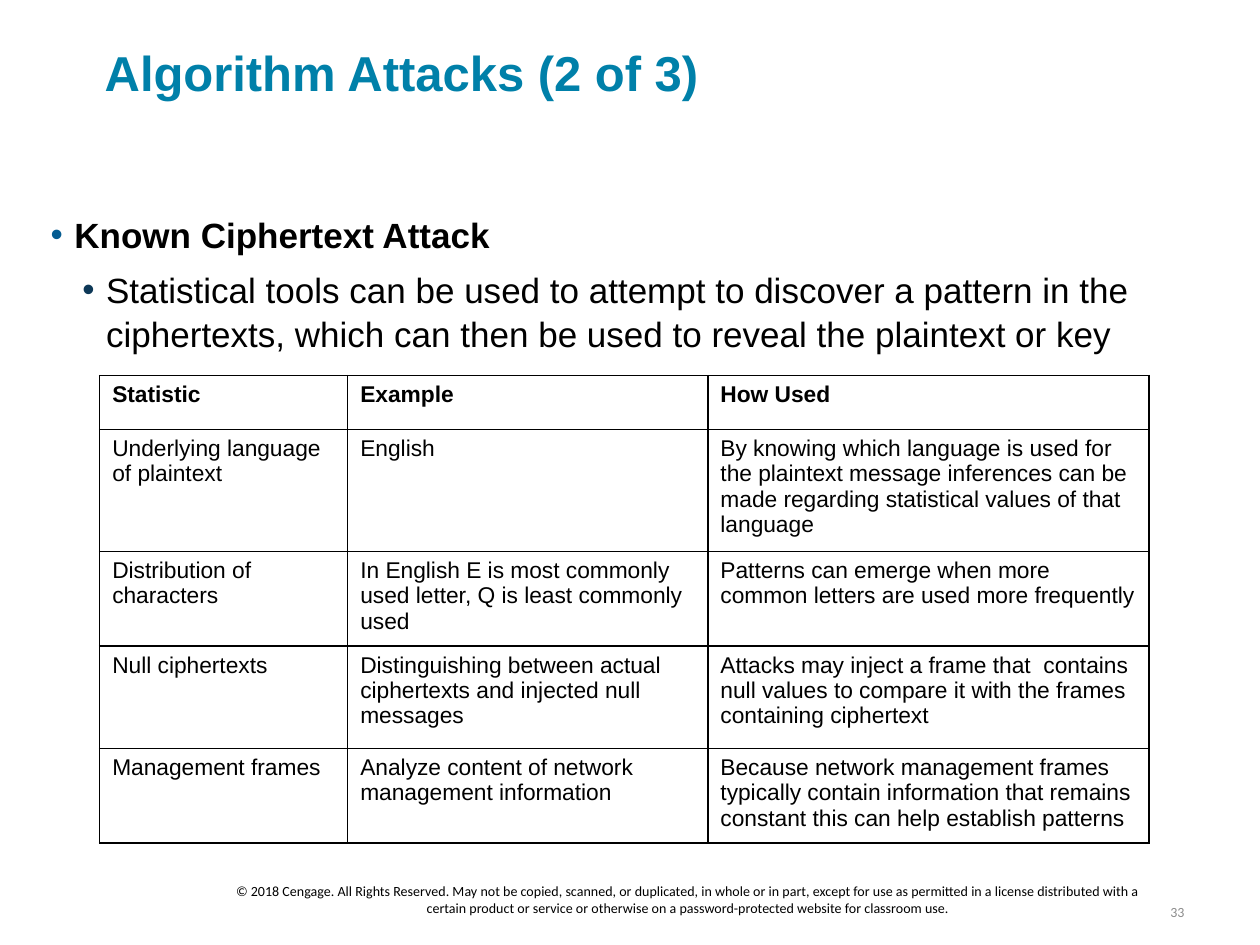
"""Build the slide on known ciphertext attacks and the statistics they use."""
from dataclasses import dataclass

from lxml.etree import SubElement
from pptx import Presentation
from pptx.dml.color import RGBColor
from pptx.enum.text import MSO_ANCHOR as Anchor, PP_ALIGN as Align
from pptx.oxml.ns import qn
from pptx.util import Cm, Pt

COLORS = {
    "title": "0080A9",
    "text": "000000",
    "number": "8C8C8C",
    "bullet": "055C91",
    "sub_bullet": "0D3857",
    "cell": "FFFFFF",
    "border": "000000",
}
COLUMN_WIDTHS = (5.0, 7.26, 8.89)
ROW_HEIGHTS = (1.09, 2.3, 1.79, 2.06, 1.79)
STATISTICS = (
    ("Statistic", "Example", "How Used"),
    ("Underlying language of plaintext", "English",
     "By knowing which language is used for the plaintext message inferences "
     "can be made regarding statistical values of that language"),
    ("Distribution of characters",
     "In English E is most commonly used letter, Q is least commonly used",
     "Patterns can emerge when more common letters are used more frequently"),
    ("Null ciphertexts",
     "Distinguishing between actual ciphertexts and injected null messages",
     "Attacks may inject a frame that  contains null values to compare it "
     "with the frames containing ciphertext"),
    ("Management frames", "Analyze content of network management information",
     "Because network management frames typically contain information that "
     "remains constant this can help establish patterns"),
)


@dataclass(frozen=True)
class Box:
    left: float
    top: float
    width: float
    height: float

    def lengths(self) -> tuple:
        return Cm(self.left), Cm(self.top), Cm(self.width), Cm(self.height)


@dataclass(frozen=True)
class Point:
    text: str
    level: int
    indent: float
    space_before: float
    bullet: str
    bold: bool


@dataclass(frozen=True)
class Note:
    text: str
    box: Box
    color: str
    align: Align
    wrap: bool


POINTS = (
    Point("Known Ciphertext Attack", 0, 0.48, 0, "bullet", True),
    Point("Statistical tools can be used to attempt to discover a pattern in the "
          "ciphertexts, which can then be used to reveal the plaintext or key",
          1, 1.12, 6, "sub_bullet", False),
)
NOTES = (
    Note("© 2018 Cengage. All Rights Reserved. May not be copied, scanned, or "
         "duplicated, in whole or in part, except for use as permitted in a license "
         "distributed with a certain product or service or otherwise on a "
         "password-protected website for classroom use.",
         Box(4.45, 17.78, 18.85, 0.69), "text", Align.CENTER, True),
    Note("33", Box(23.27, 18.08, 0.86, 0.61), "number", Align.RIGHT, False),
)


def set_font(paragraph, size: float, color: str = "text", bold: bool = False,
             name: str = "Arial") -> None:
    font = paragraph.font
    font.name, font.size, font.bold = name, Pt(size), bold
    font.color.rgb = RGBColor.from_string(COLORS[color])


def clear_margins(frame) -> None:
    frame.margin_left = frame.margin_right = 0
    frame.margin_top = frame.margin_bottom = 0


def fill_title(title, text: str, box: Box) -> None:
    title.left, title.top, title.width, title.height = box.lengths()
    frame = title.text_frame
    clear_margins(frame)
    frame.vertical_anchor = Anchor.MIDDLE
    frame.text = text
    heading = frame.paragraphs[0]
    heading.alignment = Align.LEFT
    heading.line_spacing = 0.85
    set_font(heading, 28, "title", bold=True)


def add_bullet(paragraph, point: Point) -> None:
    properties = paragraph._p.get_or_add_pPr()
    properties.set("marL", str(Cm(point.indent)))
    properties.set("indent", str(-Cm(0.48)))
    bullet_color = SubElement(properties, qn("a:buClr"))
    SubElement(bullet_color, qn("a:srgbClr"), val=COLORS[point.bullet])
    SubElement(properties, qn("a:buFont"), typeface="Arial")
    SubElement(properties, qn("a:buChar"), char="•")


def add_points(slide, points: tuple[Point, ...], box: Box) -> None:
    frame = slide.shapes.add_textbox(*box.lengths()).text_frame
    frame.word_wrap = True
    clear_margins(frame)
    for index, point in enumerate(points):
        paragraph = frame.add_paragraph() if index else frame.paragraphs[0]
        paragraph.text = point.text
        paragraph.level = point.level
        paragraph.line_spacing = 1.05
        paragraph.space_before = Pt(point.space_before)
        add_bullet(paragraph, point)
        set_font(paragraph, 20, bold=point.bold)


def add_borders(cell) -> None:
    properties = cell._tc.get_or_add_tcPr()
    for side in ("lnL", "lnR", "lnT", "lnB"):
        border = SubElement(properties, qn(f"a:{side}"), w=str(Pt(1)))
        fill = SubElement(border, qn("a:solidFill"))
        SubElement(fill, qn("a:srgbClr"), val=COLORS["border"])


def add_statistics(slide, left: float, top: float) -> None:
    box = Box(left, top, sum(COLUMN_WIDTHS), sum(ROW_HEIGHTS))
    table = slide.shapes.add_table(
        len(ROW_HEIGHTS), len(COLUMN_WIDTHS), *box.lengths()).table
    for column, width in zip(table.columns, COLUMN_WIDTHS):
        column.width = Cm(width)
    for index, (row, height) in enumerate(zip(table.rows, ROW_HEIGHTS)):
        row.height = Cm(height)
        for cell, text in zip(row.cells, STATISTICS[index]):
            cell.text = text
            add_borders(cell)
            cell.fill.solid()
            cell.fill.fore_color.rgb = RGBColor.from_string(COLORS["cell"])
            set_font(cell.text_frame.paragraphs[0], 13, bold=index == 0)


def add_note(slide, note: Note) -> None:
    frame = slide.shapes.add_textbox(*note.box.lengths()).text_frame
    frame.word_wrap = note.wrap
    frame.vertical_anchor = Anchor.MIDDLE
    frame.text = note.text
    paragraph = frame.paragraphs[0]
    paragraph.alignment = note.align
    set_font(paragraph, 8, note.color, name="Calibri")


def main() -> None:
    deck = Presentation()
    deck.slide_width, deck.slide_height = Cm(25.4), Cm(19.05)
    slide = deck.slides.add_slide(deck.slide_layouts[5])
    fill_title(slide.shapes.title, "Algorithm Attacks (2 of 3)",
               Box(2.11, 1.04, 22.3, 1.02))
    add_points(slide, POINTS, Box(1.02, 4.27, 23.37, 2.77))
    add_statistics(slide, 2.01, 7.57)
    for note in NOTES:
        add_note(slide, note)
    deck.save("out.pptx")


if __name__ == "__main__":
    main()
